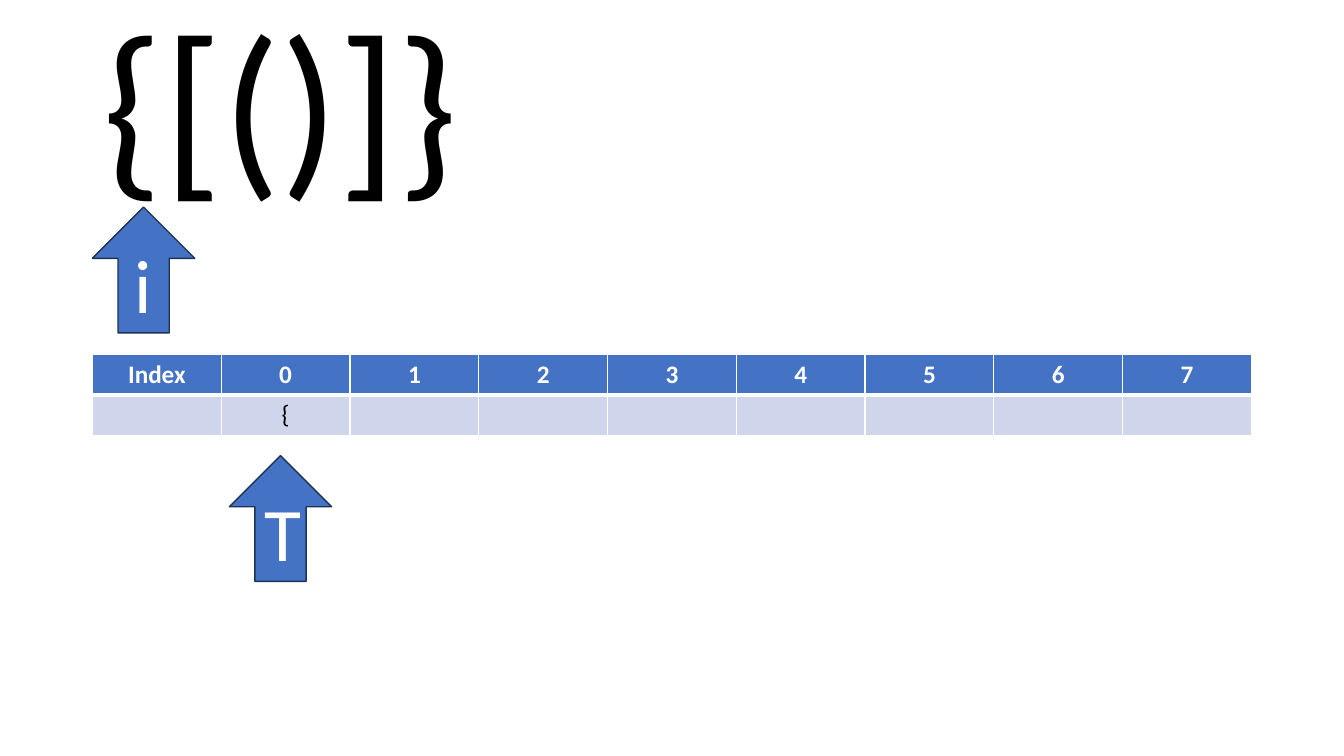
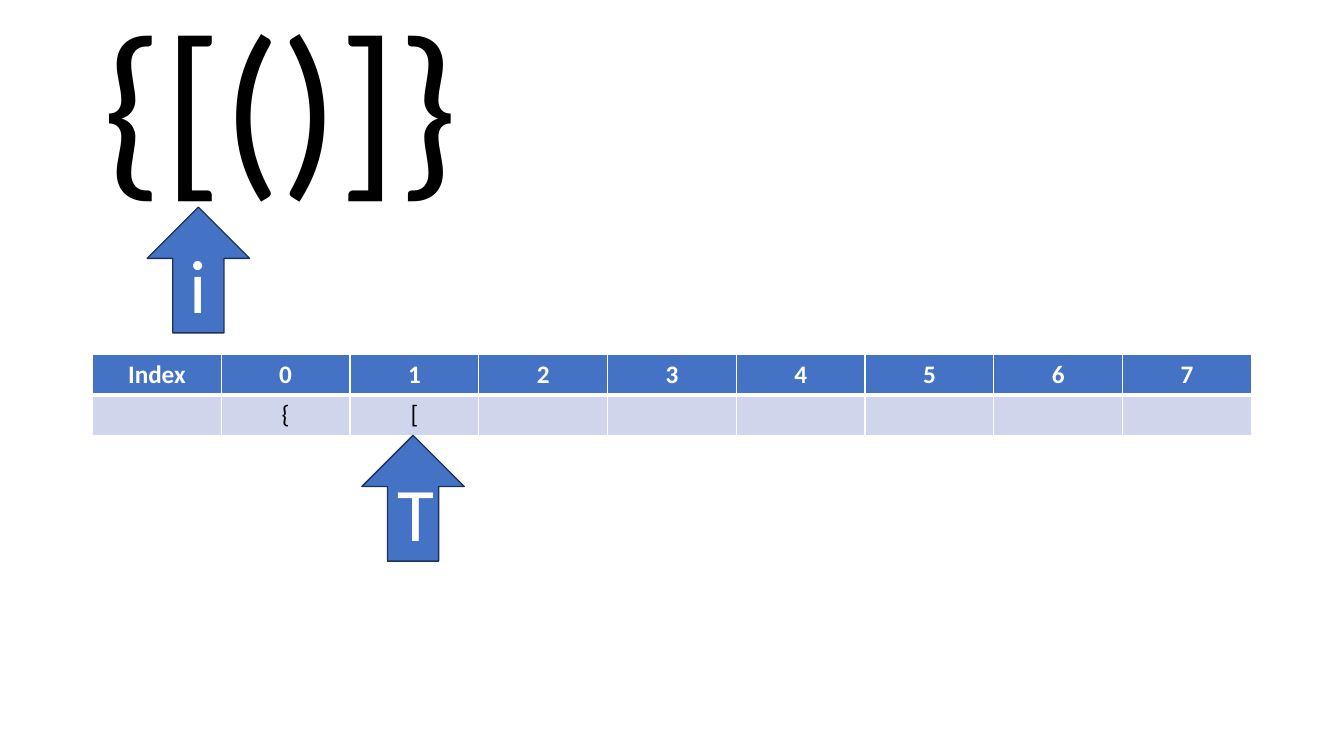
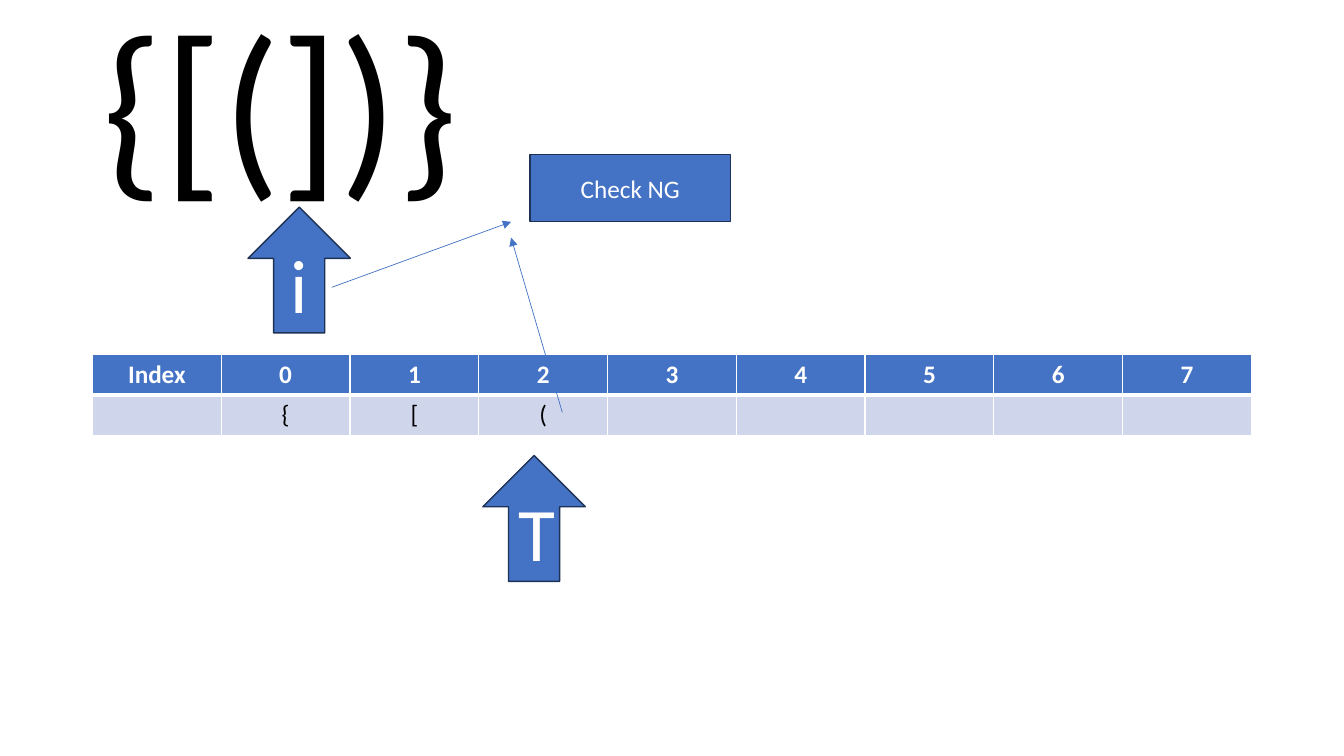
from dataclasses import dataclass

from lxml.etree import SubElement
from pptx import Presentation
from pptx.dml.color import RGBColor as Rgb
from pptx.enum.shapes import MSO_CONNECTOR as Connector, MSO_SHAPE as Shape
from pptx.enum.text import MSO_ANCHOR as Anchor, MSO_AUTO_SIZE as AutoSize, PP_ALIGN as Align
from pptx.oxml.ns import qn
from pptx.util import Cm, Pt


@dataclass(frozen=True)
class Theme:
    """Colours, font and type sizes shared by all slides."""
    font: str = "Calibri"
    accent: str = "4472C4"
    outline: str = "1E3256"
    band: str = "CFD5EA"
    light: str = "FFFFFF"
    dark: str = "000000"
    title_size: float = 137.7
    pointer_size: float = 54
    body_size: float = 18


@dataclass(frozen=True)
class Box:
    """A rectangle in centimetres."""
    left: float
    top: float
    width: float
    height: float

    def emu(self):
        """Return the four lengths for python-pptx."""
        return Cm(self.left), Cm(self.top), Cm(self.width), Cm(self.height)


@dataclass(frozen=True)
class Step:
    """One state of the bracket check."""
    brackets: str
    stack: str
    reader_left: float
    top_left: float
    top_y: float = 11.48
    verdict: str = ""


THEME = Theme()
TITLE_BOX = Box(2.33, 1.01, 11.13, 3.68)
TABLE_BOX = Box(2.33, 8.92, 29.21, 2.06)
VERDICT_BOX = Box(13.36, 3.89, 5.05, 1.7)
READER_Y = 5.22
POINTER_SIZE = (2.58, 3.17)
SLOTS = 8
STEPS = [
    Step("{[()]}", "{", 2.33, 5.78),
    Step("{[()]}", "{[", 3.71, 9.12, top_y=10.97),
    Step("{[(])}", "{[(", 6.25, 12.17, verdict="Check NG"),
]


def write(frame, text, *, size=THEME.body_size, color=THEME.light, bold=False,
          align=Align.CENTER, spacing=None):
    """Fill a text frame with one formatted paragraph."""
    para = frame.paragraphs[0]
    para.alignment = align
    para.line_spacing = spacing
    para.font.size = Pt(size)
    if text:
        span = para.add_run()
        span.text = text
        span.font.name = THEME.font
        span.font.size = Pt(size)
        span.font.bold = bold
        span.font.color.rgb = Rgb.from_string(color)


def add_title(page, box, text):
    """Place the bracket string in the title placeholder."""
    title = page.shapes.title
    title.left, title.top, title.width, title.height = box.emu()
    frame = title.text_frame
    frame.auto_size = AutoSize.NONE
    frame.vertical_anchor = Anchor.MIDDLE
    write(frame, text, size=THEME.title_size, color=THEME.dark,
          align=Align.LEFT, spacing=0.9)


def add_block(page, box, kind, text, size=THEME.body_size):
    """Draw an outlined accent shape with a centred label."""
    block = page.shapes.add_shape(kind, *box.emu())
    block.shadow.inherit = False
    block.fill.solid()
    block.fill.fore_color.rgb = Rgb.from_string(THEME.accent)
    block.line.color.rgb = Rgb.from_string(THEME.outline)
    block.line.width = Pt(1)
    block.text_frame.vertical_anchor = Anchor.MIDDLE
    write(block.text_frame, text, size=size)


def set_borders(cell, widths):
    """Give a cell white borders, keyed by edge letter."""
    properties = cell._tc.get_or_add_tcPr()
    for edge, width in widths.items():
        line = SubElement(properties, qn(f"a:ln{edge}"), w=str(Pt(width)))
        SubElement(SubElement(line, qn("a:solidFill")), qn("a:srgbClr"), val=THEME.light)


def add_stack_table(page, box, stack):
    """Draw the index row above the stack contents."""
    rows = [["Index", *map(str, range(SLOTS))], ["", *stack.ljust(SLOTS).replace(" ", "\0")]]
    rows = [[text.strip("\0") for text in row] for row in rows]
    styles = [
        (THEME.accent, THEME.light, True, {"L": 1, "R": 1, "T": 1, "B": 3}),
        (THEME.band, THEME.dark, False, {"L": 1, "R": 1, "B": 1}),
    ]
    table = page.shapes.add_table(len(rows), SLOTS + 1, *box.emu()).table
    table.horz_banding = False
    for row, texts, (fill, color, bold, borders) in zip(table.rows, rows, styles):
        for cell, text in zip(row.cells, texts):
            set_borders(cell, borders)
            cell.fill.solid()
            cell.fill.fore_color.rgb = Rgb.from_string(fill)
            write(cell.text_frame, text, color=color, bold=bold)


def add_pointer(page, box, label):
    """Draw an upward arrow marking a position."""
    add_block(page, box, Shape.UP_ARROW, label, THEME.pointer_size)


def add_arrow(page, start, end):
    """Draw a thin line with an arrowhead at its end."""
    arrow = page.shapes.add_connector(
        Connector.STRAIGHT, *(Cm(length) for length in (*start, *end)))
    arrow.line.color.rgb = Rgb.from_string(THEME.accent)
    arrow.line.width = Pt(0.5)
    SubElement(arrow.line._get_or_add_ln(), qn("a:tailEnd"), type="triangle")
    SubElement(arrow._element.spPr, qn("a:effectLst"))


def add_verdict(page, box, text, reader, table):
    """Draw the check result and the arrows from both compared brackets."""
    tip = box.left - 0.48
    bottom = box.top + box.height
    add_arrow(page, (reader.left + 2.11, reader.top + 2.02), (tip, bottom))
    add_arrow(page, (table.left + 11.84, table.top + 1.47), (tip, bottom + 0.4))
    add_block(page, box, Shape.RECTANGLE, text)


def add_step(deck, step):
    """Build the slide for one step."""
    page = deck.slides.add_slide(deck.slide_layouts.get_by_name("Title Only"))
    reader = Box(step.reader_left, READER_Y, *POINTER_SIZE)
    add_title(page, TITLE_BOX, step.brackets)
    add_stack_table(page, TABLE_BOX, step.stack)
    add_pointer(page, reader, "i")
    add_pointer(page, Box(step.top_left, step.top_y, *POINTER_SIZE), "T")
    if step.verdict:
        add_verdict(page, VERDICT_BOX, step.verdict, reader, TABLE_BOX)


def main():
    """Build and save the deck."""
    deck = Presentation()
    deck.slide_width, deck.slide_height = Cm(33.87), Cm(19.05)
    for step in STEPS:
        add_step(deck, step)
    deck.save("out.pptx")


if __name__ == "__main__":
    main()
